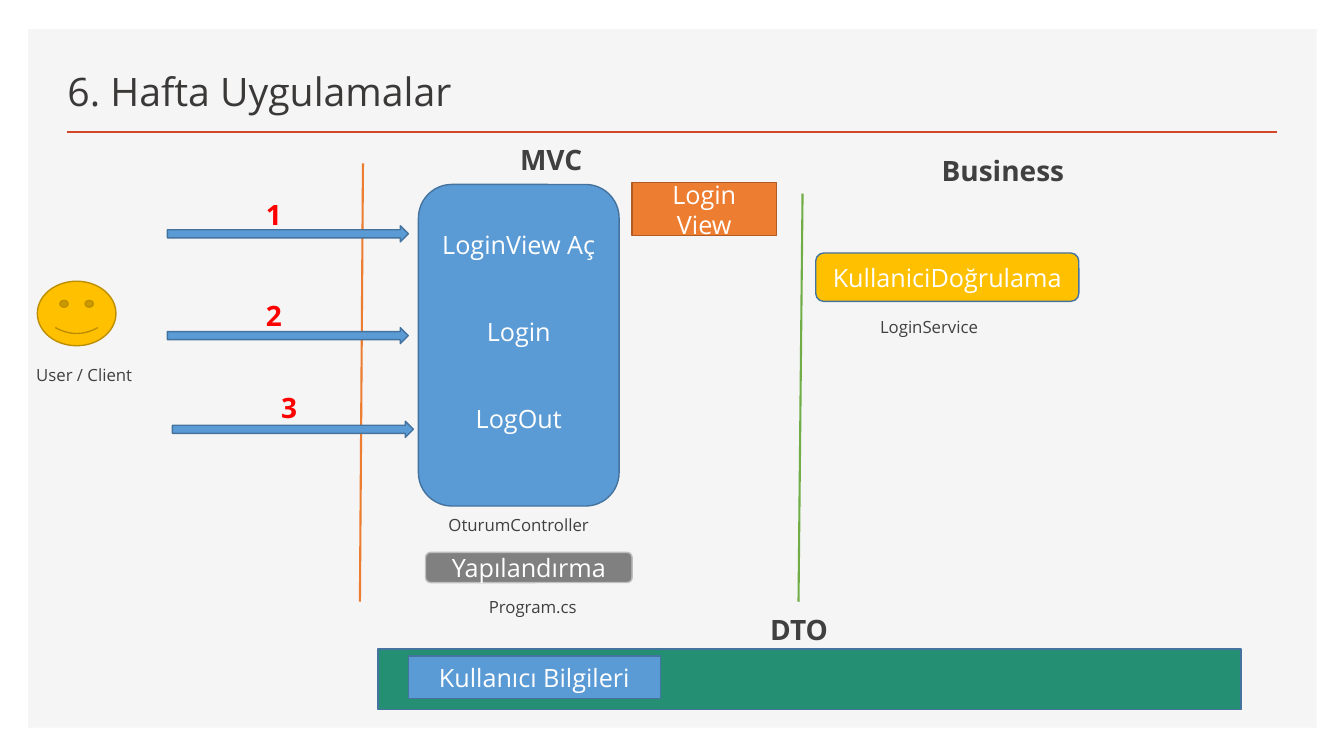
from pptx import Presentation
from pptx.dml.color import RGBColor
from pptx.enum.shapes import MSO_CONNECTOR, MSO_SHAPE
from pptx.enum.text import MSO_ANCHOR, PP_ALIGN
from pptx.oxml.ns import qn
from pptx.util import Inches, Pt
from lxml import etree

FONT = "Open Sans"
WHITE = RGBColor(0xFF, 0xFF, 0xFF)
PANEL = RGBColor(0xF5, 0xF5, 0xF5)
TITLE = RGBColor(0x3B, 0x38, 0x38)
TEXT = RGBColor(0x40, 0x40, 0x40)
RED = RGBColor(0xFF, 0x00, 0x00)
RULE = RGBColor(0xD2, 0x47, 0x26)
BLUE = RGBColor(0x5B, 0x9B, 0xD5)
BLUE_EDGE = RGBColor(0x43, 0x73, 0x9E)
ORANGE = RGBColor(0xED, 0x7D, 0x31)
ORANGE_EDGE = RGBColor(0xAF, 0x5C, 0x24)
GREEN = RGBColor(0x70, 0xAD, 0x47)
TEAL = RGBColor(0x25, 0x8F, 0x73)
GOLD = RGBColor(0xFF, 0xC0, 0x00)
GOLD_EDGE = RGBColor(0xBD, 0x8E, 0x00)
GREY = RGBColor(0x80, 0x80, 0x80)
GREY_EDGE = RGBColor(0xBF, 0xBF, 0xBF)

presentation = Presentation()
presentation.slide_width = Inches(13.33)
presentation.slide_height = Inches(7.5)
slide = presentation.slides.add_slide(presentation.slide_layouts[6])


def add_box(kind, box, fill, edge=None, lines=()):
    """Add a filled shape with one centred paragraph per line of text."""
    shape = slide.shapes.add_shape(kind, *map(Inches, box))
    shape.shadow.inherit = False
    shape.fill.solid()
    shape.fill.fore_color.rgb = fill
    if edge is None:
        shape.line.fill.background()
    else:
        shape.line.color.rgb = edge
        shape.line.width = Pt(1)
    frame = shape.text_frame
    frame.word_wrap = True
    frame.vertical_anchor = MSO_ANCHOR.MIDDLE
    for index, line in enumerate(lines):
        paragraph = frame.paragraphs[0] if index == 0 else frame.add_paragraph()
        paragraph.text = line
        paragraph.alignment = PP_ALIGN.CENTER
        format_font(paragraph.font, size=Pt(18), color=WHITE)
    return shape


def format_font(font, color, **values):
    font.color.rgb = color
    for name, value in {"name": FONT, **values}.items():
        setattr(font, name, value)


add_box(MSO_SHAPE.RECTANGLE, (0.28, 0.29, 12.78, 6.93), PANEL)

# Title rule and the dividers between the layers
for x1, y1, x2, y2, color, width in [
    (0.66, 1.31, 12.67, 1.31, RULE, 2),
    (3.6, 1.62, 3.57, 5.97, ORANGE, 1.5),
    (7.96, 1.92, 7.92, 5.97, GREEN, 1.5),
]:
    line = slide.shapes.add_connector(
        MSO_CONNECTOR.STRAIGHT, Inches(x1), Inches(y1), Inches(x2), Inches(y2))
    line.line.color.rgb = color
    line.line.width = Pt(width)
    etree.SubElement(line._element.spPr, qn("a:effectLst"))

title = slide.shapes.add_textbox(Inches(0.57), Inches(0.49), Inches(7.52), Inches(0.7))
title.text_frame.word_wrap = True
title.text_frame.vertical_anchor = MSO_ANCHOR.BOTTOM
title_paragraph = title.text_frame.paragraphs[0]
title_paragraph.text = "6. Hafta Uygulamalar"
title_paragraph.line_spacing = 0.9
format_font(title_paragraph.font, size=Pt(28), color=TITLE)

# Components
controller = add_box(MSO_SHAPE.ROUNDED_RECTANGLE, (4.15, 1.83, 1.99, 3.19), BLUE, BLUE_EDGE,
                     ["LoginView Aç", "Login", "LogOut"])
controller.text_frame.margin_bottom = Inches(0.33)
for paragraph in controller.text_frame.paragraphs[:-1]:
    paragraph.space_after = Pt(40.5)

for kind, box, fill, edge, lines in [
    (MSO_SHAPE.RECTANGLE, (6.27, 1.81, 1.43, 0.53), ORANGE, ORANGE_EDGE, ["Login View"]),
    (MSO_SHAPE.ROUNDED_RECTANGLE, (8.09, 2.51, 2.61, 0.48), GOLD, BLUE_EDGE,
     ["KullaniciDoğrulama"]),
    (MSO_SHAPE.RECTANGLE, (3.75, 6.44, 8.56, 0.6), TEAL, BLUE_EDGE, []),
    (MSO_SHAPE.RECTANGLE, (4.05, 6.51, 2.5, 0.42), BLUE, BLUE_EDGE, ["Kullanıcı Bilgileri"]),
    (MSO_SHAPE.ROUNDED_RECTANGLE, (4.22, 5.48, 2.05, 0.3), GREY, GREY_EDGE, ["Yapılandırma"]),
    (MSO_SHAPE.SMILEY_FACE, (0.37, 2.79, 0.78, 0.64), GOLD, GOLD_EDGE, []),
]:
    add_box(kind, box, fill, edge, lines)

for left, top in [(1.66, 2.24), (1.66, 3.25), (1.71, 4.18)]:
    add_box(MSO_SHAPE.RIGHT_ARROW, (left, top, 2.39, 0.16), BLUE, BLUE_EDGE)

# Headings, step numbers and captions
heading = {"size": Pt(20), "bold": True, "color": TEXT}
step = {**heading, "color": RED}
caption = {"size": Pt(12), "color": TEXT}
for text, box, style, spacing in [
    ("MVC", (5.06, 1.2, 2.33, 0.83), heading, 1.5),
    ("Business", (9.24, 1.31, 2.33, 0.83), heading, 1.5),
    ("DTO", (7.54, 5.86, 2.33, 0.83), heading, 1.5),
    ("1", (2.54, 1.74, 2.33, 0.83), step, 1.5),
    ("2", (2.54, 2.75, 2.33, 0.83), step, 1.5),
    ("3", (2.69, 3.66, 2.33, 0.83), step, 1.5),
    ("OturumController", (4.35, 4.96, 2.33, 0.83), caption, 1.5),
    ("LoginService", (8.63, 2.99, 1.53, 0.44), caption, 1.5),
    ("Program.cs", (4.75, 5.79, 1.44, 0.38), caption, 1.4),
    ("User / Client", (0.26, 3.47, 1.28, 0.51), caption, 1.5),
]:
    label = slide.shapes.add_textbox(*map(Inches, box))
    label.text_frame.word_wrap = True
    paragraph = label.text_frame.paragraphs[0]
    paragraph.text = text
    for name, value in {"line_spacing": spacing, "space_before": Pt(10),
                        "space_after": Pt(12)}.items():
        setattr(paragraph, name, value)
    format_font(paragraph.font, **style)

presentation.save("out.pptx")
